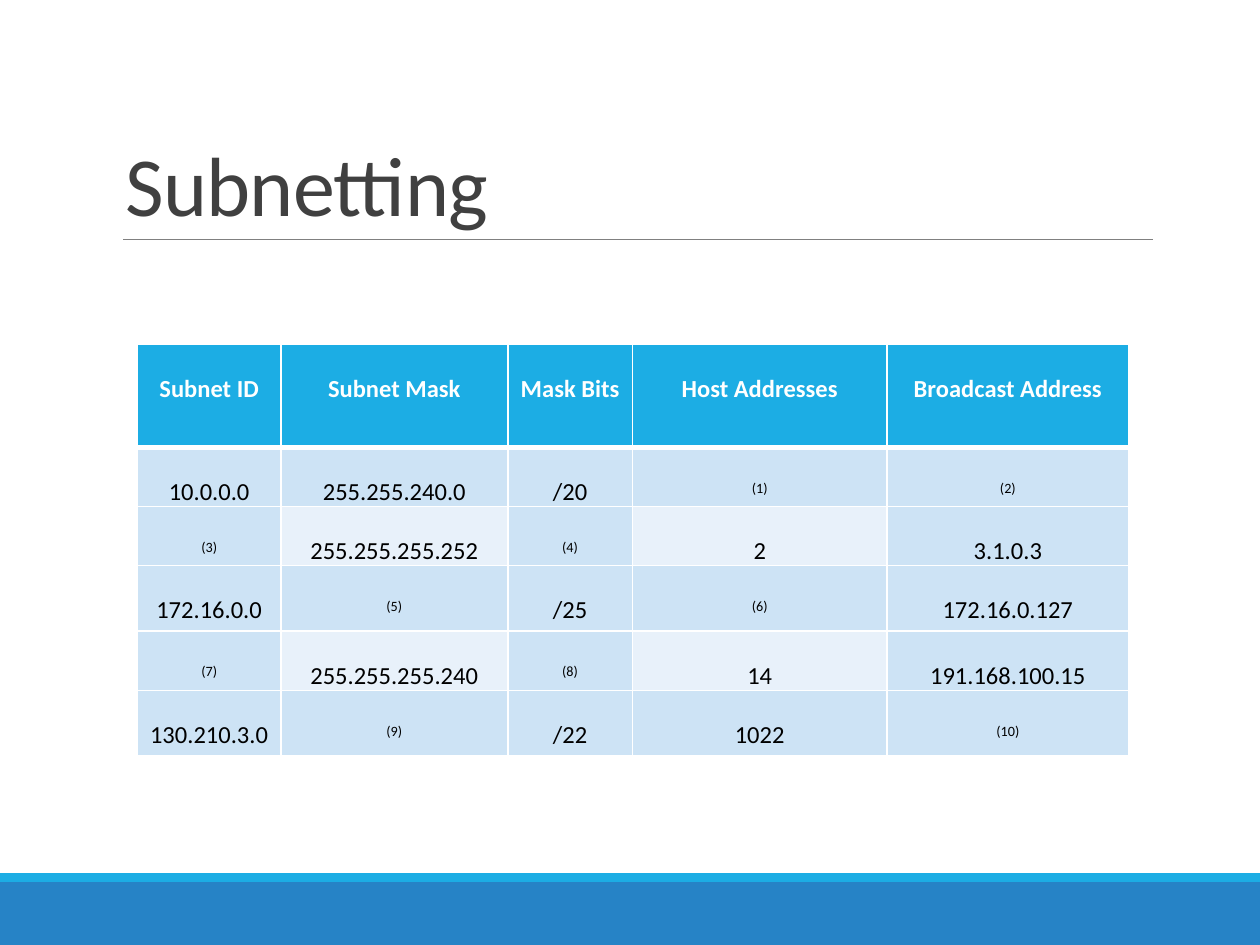
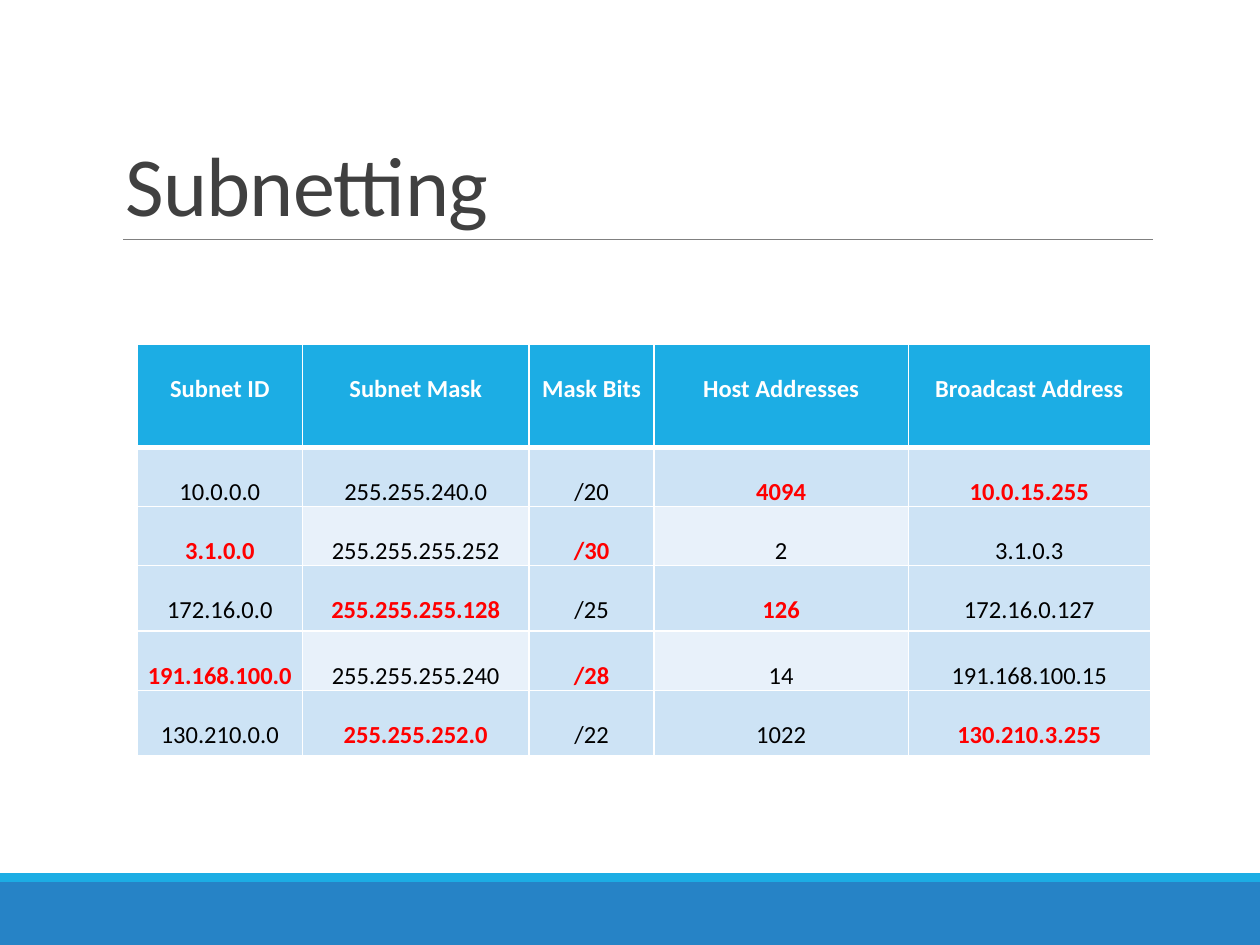
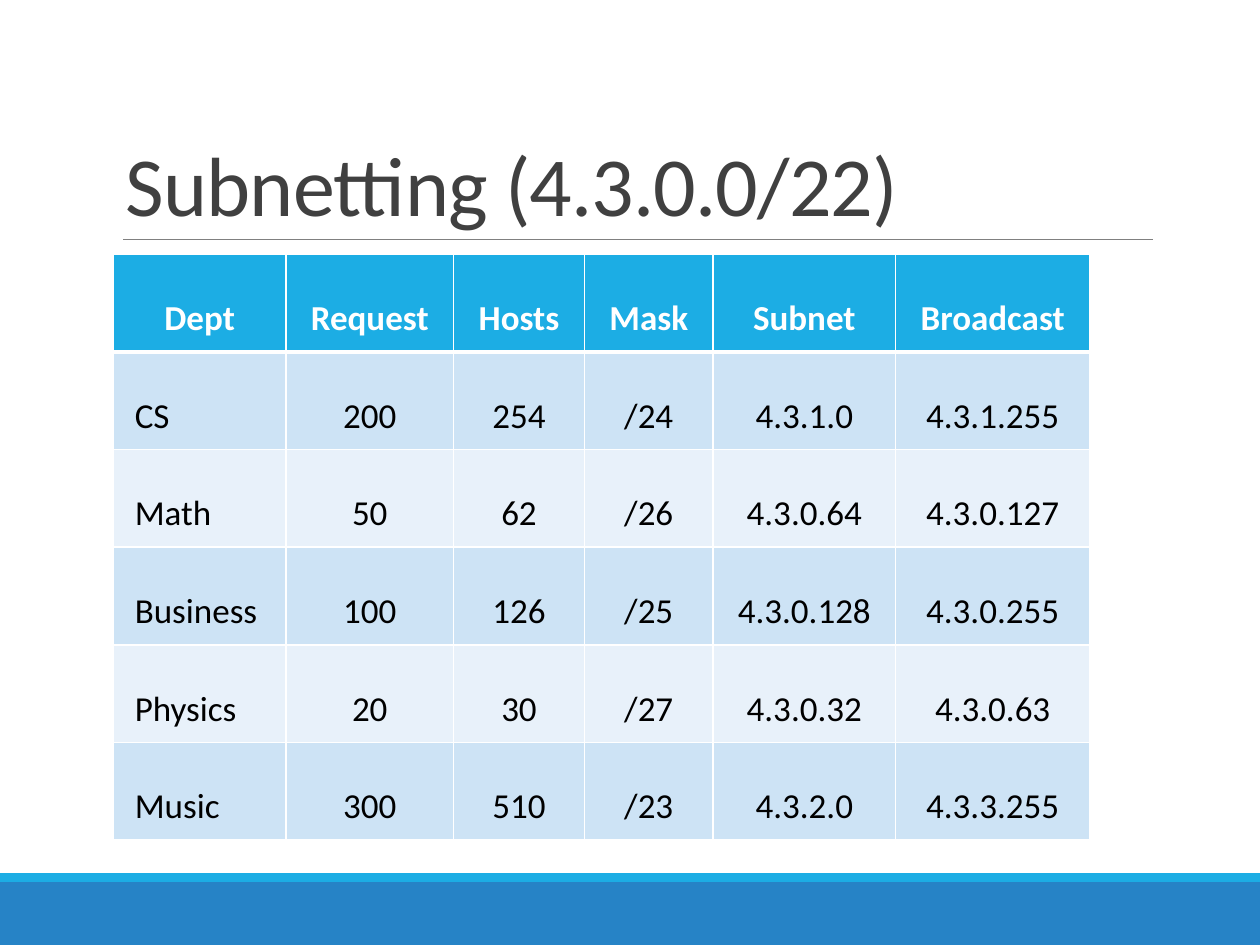
from itertools import count

from lxml import etree
from pptx import Presentation
from pptx import util as u
from pptx.dml.color import RGBColor
from pptx.enum import shapes, text
from pptx.oxml.ns import qn

FONT = "Calibri"
COLORS = {
    "band": "2683C6", "accent": "1CADE4", "rule": "808080", "title": "404040",
    "white": "FFFFFF", "black": "000000", "answer": "FF0000",
    "dark_row": "CDE3F5", "light_row": "E8F1FA",
}
SLIDE_W, SLIDE_H = u.Inches(10), u.Inches(7.5)

# Text styles of table cells
STYLES = {
    "header": {"color": "white", "bold": True},
    "given": {"color": "black", "bold": False},
    "blank": {"color": "black", "bold": False, "baseline": 30000},
    "answer": {"color": "answer", "bold": True},
}

QUIZ_HEADER = ["Subnet ID", "Subnet Mask", "Mask Bits", "Host Addresses", "Broadcast Address"]
# None marks a value to be worked out
QUIZ = [
    ["10.0.0.0", "255.255.240.0", "/20", None, None],
    [None, "255.255.255.252", None, "2", "3.1.0.3"],
    ["172.16.0.0", None, "/25", None, "172.16.0.127"],
    [None, "255.255.255.240", None, "14", "191.168.100.15"],
]
QUIZ_ANSWERS = ["4094", "10.0.15.255", "3.1.0.0", "/30", "255.255.255.128",
                "126", "191.168.100.0", "/28", "255.255.252.0", "130.210.3.255"]

DEPT_HEADER = ["Dept", "Request", "Hosts", "Mask", "Subnet", "Broadcast"]
DEPTS = [
    ["CS", "200", "254", "/24", "4.3.1.0", "4.3.1.255"],
    ["Math", "50", "62", "/26", "4.3.0.64", "4.3.0.127"],
    ["Business", "100", "126", "/25", "4.3.0.128", "4.3.0.255"],
    ["Physics", "20", "30", "/27", "4.3.0.32", "4.3.0.63"],
    ["Music", "300", "510", "/23", "4.3.2.0", "4.3.3.255"],
]


def px(percent):
    """Percent of the slide's width."""
    return int(SLIDE_W * percent / 100)


def py(percent):
    """Percent of the slide's height."""
    return int(SLIDE_H * percent / 100)


def rgb(name):
    return RGBColor.from_string(COLORS[name])


def set_font(r, size, color, bold=False):
    for key, value in {"name": FONT, "size": u.Pt(size), "bold": bold}.items():
        setattr(r.font, key, value)
    r.font.color.rgb = rgb(color)


def add_band(s, top, height, color):
    sp = s.shapes.add_shape(shapes.MSO_SHAPE.RECTANGLE, 0, py(top), SLIDE_W, py(height))
    sp.shadow.inherit = False
    sp.fill.solid()
    sp.fill.fore_color.rgb = rgb(color)
    sp.line.fill.background()


def add_title_rule(s):
    line = s.shapes.add_connector(shapes.MSO_CONNECTOR.STRAIGHT,
                                  px(9.8), py(25.33), px(91.5), py(25.33))
    line.line.color.rgb = rgb("rule")
    line.line.width = u.Pt(0.5)
    etree.SubElement(line._element.spPr, qn("a:effectLst"))


def add_title(s, title):
    tf = s.shapes.add_textbox(px(9), py(4.13), px(82.5), py(21.2)).text_frame
    tf.word_wrap = True
    tf.vertical_anchor = text.MSO_ANCHOR.BOTTOM
    p = tf.paragraphs[0]
    p.line_spacing = 0.85
    r = p.add_run()
    r.text = title
    set_font(r, 48, "title")
    r._r.get_or_add_rPr().set("spc", "-50")


def add_slide(prs, title):
    s = prs.slides.add_slide(prs.slide_layouts[6])
    add_band(s, 93.33, 6.67, "band")
    add_band(s, 92.4, 0.93, "accent")
    add_title_rule(s)
    add_title(s, title)
    return s


def set_borders(cell, **widths):
    """Draw white borders; widths in points are keyed L, R, T and B."""
    tcPr = cell._tc.get_or_add_tcPr()
    for side, width in widths.items():
        ln = etree.SubElement(tcPr, qn(f"a:ln{side}"), w=str(u.Pt(width)))
        fill = etree.SubElement(ln, qn("a:solidFill"))
        etree.SubElement(fill, qn("a:srgbClr"), val=COLORS["white"])


def fill_cell(cell, value, style, size, inset, align):
    margins = {"margin_left": inset, "margin_right": inset, "margin_top": 0, "margin_bottom": 0}
    for key, inches in margins.items():
        setattr(cell, key, u.Inches(inches))
    p = cell.text_frame.paragraphs[0]
    p.alignment = align
    p.line_spacing = 2.0
    r = p.add_run()
    r.text = value
    fmt = STYLES[style]
    set_font(r, size, fmt["color"], fmt["bold"])
    if "baseline" in fmt:
        r._r.get_or_add_rPr().set("baseline", str(fmt["baseline"]))


def add_grid(s, left, top, cols, rows, cells, size, inset, light_cols, left_cols=()):
    """Add a table of (value, style) cells; even body rows are light in light_cols."""
    frame = s.shapes.add_table(len(rows), len(cols), px(left), py(top),
                               px(sum(cols)), py(sum(rows)))
    tbl = frame.table
    tbl.first_row = tbl.horz_banding = False
    for column, width in zip(tbl.columns, cols):
        column.width = px(width)
    for row, height in zip(tbl.rows, rows):
        row.height = py(height)
    for i, line in enumerate(cells):
        for j, (value, style) in enumerate(line):
            cell = tbl.cell(i, j)
            is_left = i > 0 and j in left_cols
            fill_cell(cell, value, style, size, inset,
                      text.PP_ALIGN.LEFT if is_left else text.PP_ALIGN.CENTER)
            set_borders(cell, L=1, R=1, T=3 if i == 1 else 1, B=3 if i == 0 else 1)
            is_light = i > 0 and i % 2 == 0 and j in light_cols
            cell.fill.solid()
            cell.fill.fore_color.rgb = rgb(
                "accent" if i == 0 else "light_row" if is_light else "dark_row")


def styled(header, body):
    """Pair plain header and body values with their styles."""
    return [[(v, "header") for v in header]] + [[(v, "given") for v in row] for row in body]


def add_quiz(prs, last_subnet, first_col, gaps, gap_style):
    """Add the subnetting exercise with its gaps filled in reading order."""
    s = add_slide(prs, "Subnetting")
    body = QUIZ + [[last_subnet, None, "/22", "1022", None]]
    cells = [[(next(gaps), gap_style) if v is None else (v, style) for v, style in row]
             for row in styled(QUIZ_HEADER, body)]
    add_grid(s, 10.9, 36.4, [first_col, 18, 9.9, 20.2, 19.2],
             [10.93, 6.27, 6.27, 6.93, 6.27, 6.93], cells, 14, 0.06, light_cols=(1, 3))


def add_departments(prs):
    s = add_slide(prs, "Subnetting (4.3.0.0/22)")
    add_grid(s, 9, 26.93, [13.7, 13.3, 10.4, 10.2, 14.5, 15.4], [10.33] * 6,
             styled(DEPT_HEADER, DEPTS), 20, 0.17,
             light_cols=range(len(DEPT_HEADER)), left_cols=(0,))


def main():
    prs = Presentation()
    prs.slide_width, prs.slide_height = SLIDE_W, SLIDE_H
    add_quiz(prs, "130.210.3.0", 11.4, (f"({n})" for n in count(1)), "blank")
    add_quiz(prs, "130.210.0.0", 13.1, iter(QUIZ_ANSWERS), "answer")
    add_departments(prs)
    prs.save("out.pptx")


if __name__ == "__main__":
    main()
